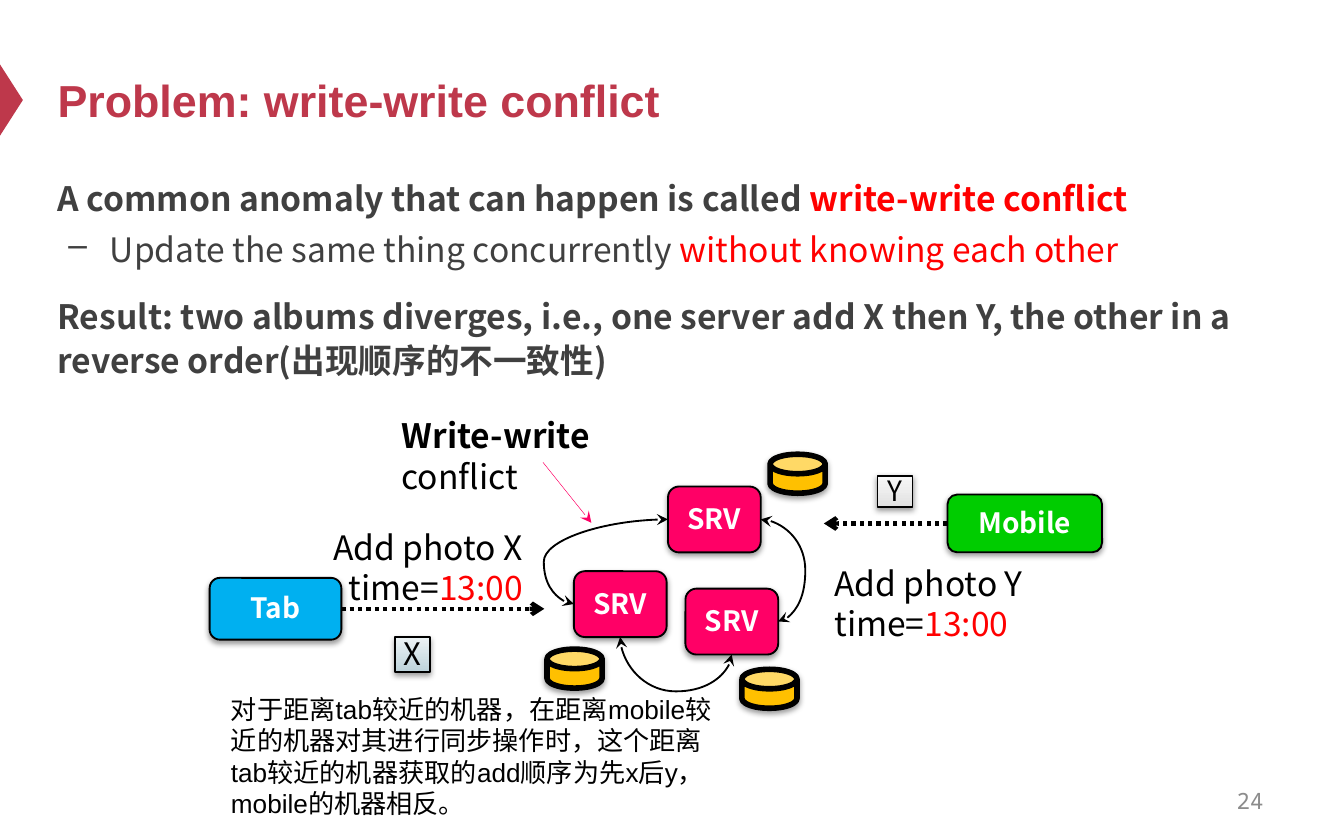
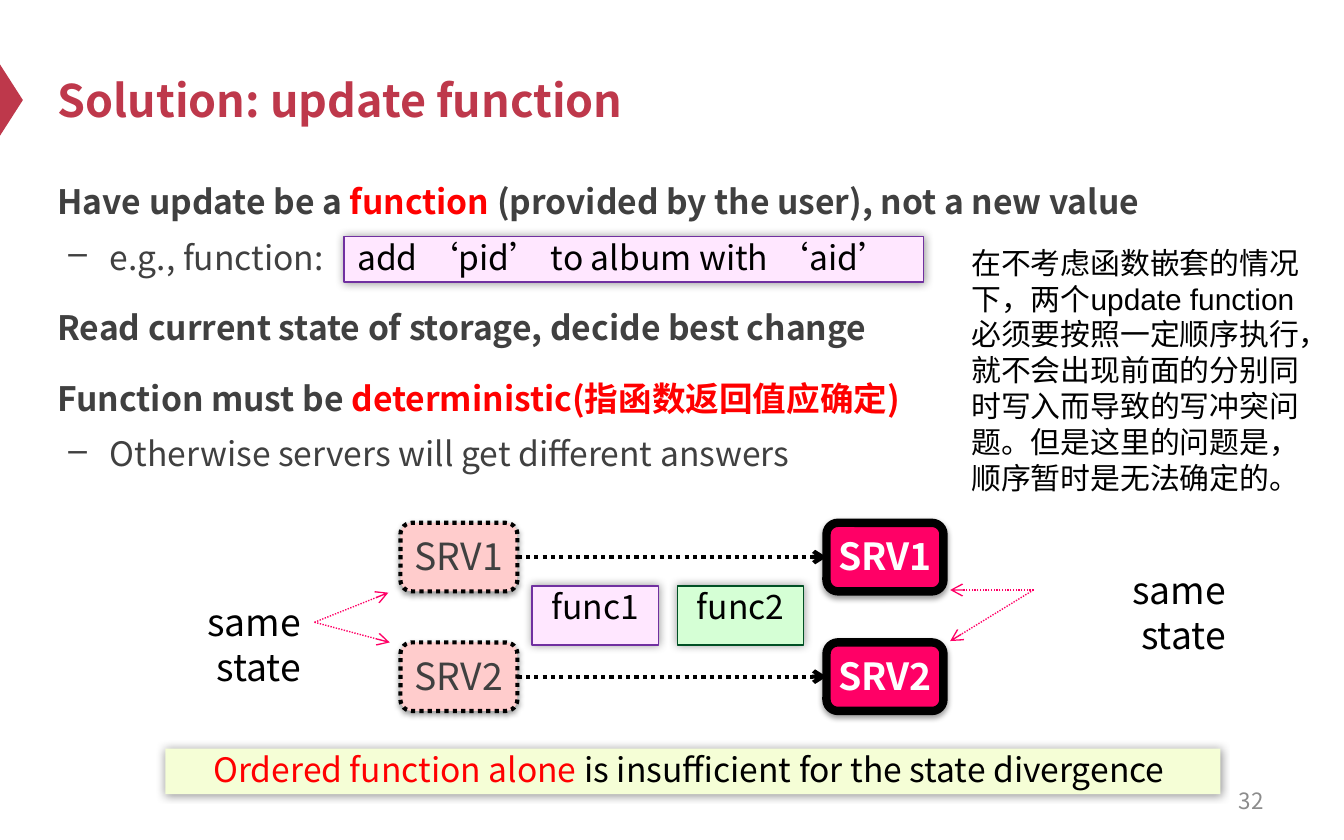
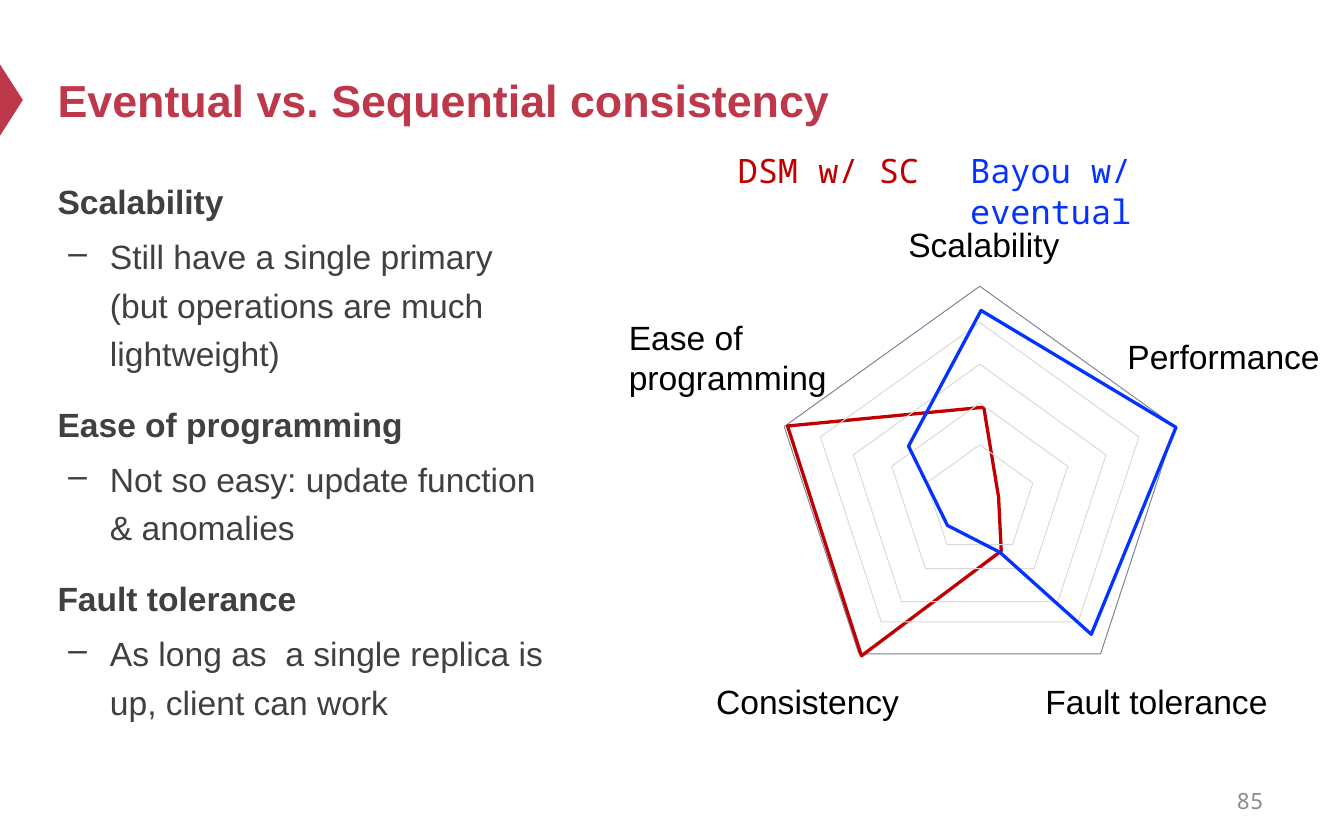
from dataclasses import dataclass
from typing import NamedTuple, Optional

from lxml import etree
from pptx import Presentation
from pptx import util as u
from pptx.dml.color import RGBColor
from pptx.enum import dml, shapes, text
from pptx.oxml.ns import qn

# The slide is a grid of square cells, 100 columns by 62.5 rows.
COLUMNS, ROWS = 100, 62.5
CELL = u.Inches(10) // COLUMNS
LINE_HEIGHT = 1.2
SANS, ARIAL, MONO = "Noto Sans CJK SC", "Arial", "Noto Sans Mono"

COLORS = {
    "theme": "BE384B", "body": "404040", "number": "8C8C8C",
    "black": "000000", "white": "FFFFFF", "red": "FF0000",
    "pink": "FF0066", "pale pink": "FFCCCC", "gold": "FFC000",
    "sky": "00B0F0", "green": "00CC00", "lilac": "FFE7FF",
    "purple": "7030A0", "mint": "D5FFD5", "forest": "005024",
    "cream": "F5FED6", "slate": "778495", "grey": "D9D9D9",
    "crimson": "C00000", "blue": "0432FF",
    "blue dark": "BDD3DB", "blue light": "EDF3F5",
    "grey dark": "E2E2E2", "grey light": "F7F7F7",
}
SHAPE = shapes.MSO_SHAPE
ALIGN = text.PP_ALIGN
TOP, LEFT, BOTTOM, RIGHT = range(4)


class Box(NamedTuple):
    left: float
    top: float
    width: float
    height: float


class Point(NamedTuple):
    x: float
    y: float


class Run(NamedTuple):
    text: str
    color: Optional[str] = None
    bold: Optional[bool] = None


class Shadow(NamedTuple):
    opacity: int
    blur: float
    distance: float
    angle: int


class Stroke(NamedTuple):
    color: str
    width: float
    dotted: bool = False


class BodyLine(NamedTuple):
    level: int
    runs: list


DROP = Shadow(38, 3.1, 1.6, 90)
GLOW = Shadow(40, 5, 0, 0)
THIN = Stroke("black", 1)
DOTTED = Stroke("black", 2.25, True)


@dataclass
class Style:
    """Look of a preset shape; two fill colours make a vertical gradient."""
    kind: int
    fill: tuple = ()
    stroke: Optional[Stroke] = None
    shadow: Optional[Shadow] = None


SERVER = Style(SHAPE.ROUNDED_RECTANGLE, ("pink",), THIN, DROP)
DISK = Style(SHAPE.CAN, ("gold",), Stroke("black", 3), DROP)
OLD_STATE = Style(SHAPE.ROUNDED_RECTANGLE, ("pale pink",), DOTTED, DROP)
NEW_STATE = Style(SHAPE.ROUNDED_RECTANGLE, ("pink",), Stroke("black", 4.5), DROP)
FUNCTION = Style(SHAPE.RECTANGLE, ("lilac",), Stroke("purple", 0.75), GLOW)
FUNCTION_TWO = Style(SHAPE.RECTANGLE, ("mint",), Stroke("forest", 0.75), GLOW)
BANNER = Style(SHAPE.RECTANGLE, ("cream",), None, GLOW)


def cells(*values):
    return [u.Emu(round(value * CELL)) for value in values]


def rgb(name: str) -> RGBColor:
    return RGBColor.from_string(COLORS[name])


def set_bullet(paragraph):
    properties = paragraph._p.get_or_add_pPr()
    properties.set("marL", str(u.Inches(0.39)))
    properties.set("indent", str(u.Inches(-0.31)))
    etree.SubElement(properties, qn("a:buChar")).set("char", "–")


def add_run(paragraph, content, *, font, size, color, bold):
    run = paragraph.add_run()
    run.text = content
    run.font.name, run.font.size, run.font.bold = font, u.Pt(size), bold
    run.font.color.rgb = rgb(color)
    east_asian = etree.SubElement(run._r.get_or_add_rPr(), qn("a:ea"))
    east_asian.set("typeface", SANS)


def format_paragraph(paragraph, runs, *, font=SANS, size=18, color="black",
                     bold=False, align=ALIGN.LEFT, spacing=1.0, before=0):
    """Fill one paragraph; a newline inside a run becomes a line break."""
    paragraph.alignment = align
    paragraph.line_spacing = u.Pt(round(size * LINE_HEIGHT * spacing, 1))
    paragraph.space_before = u.Pt(before)
    for run in runs:
        for index, part in enumerate(run.text.split("\n")):
            if index:
                paragraph.add_line_break()
            add_run(paragraph, part, font=font, size=size,
                    color=run.color or color,
                    bold=bold if run.bold is None else run.bold)


def set_frame(shape, *, anchor=text.MSO_ANCHOR.TOP, insets=(1, 0.5, 1, 0.5), wrap=True):
    frame = shape.text_frame
    frame.word_wrap, frame.vertical_anchor = wrap, anchor
    (frame.margin_left, frame.margin_top,
     frame.margin_right, frame.margin_bottom) = cells(*insets)
    return frame


def write(shape, paragraphs, *, anchor=text.MSO_ANCHOR.TOP, insets=(1, 0.5, 1, 0.5),
          wrap=True, **formats):
    """Write a string, or a list of paragraphs that are lists of runs."""
    if isinstance(paragraphs, str):
        paragraphs = [[Run(paragraphs)]]
    frame = set_frame(shape, anchor=anchor, insets=insets, wrap=wrap)
    for index, runs in enumerate(paragraphs):
        paragraph = frame.add_paragraph() if index else frame.paragraphs[0]
        format_paragraph(paragraph, runs, **formats)


def add_text(slide, box: Box, paragraphs, **formats):
    shape = slide.shapes.add_textbox(*cells(*box))
    write(shape, paragraphs, **formats)
    return shape


def set_stroke(line, stroke: Optional[Stroke]):
    if stroke is None:
        line.fill.background()
        return
    line.color.rgb = rgb(stroke.color)
    line.width = u.Pt(stroke.width)
    if stroke.dotted:
        line.dash_style = dml.MSO_LINE.ROUND_DOT


def set_shadow(shape, shadow: Shadow):
    effects = shape._element.spPr.find(qn("a:effectLst"))
    outer = etree.SubElement(effects, qn("a:outerShdw"), blurRad=str(u.Pt(shadow.blur)),
                             dist=str(u.Pt(shadow.distance)),
                             dir=str(shadow.angle * 60000), rotWithShape="0")
    color = etree.SubElement(outer, qn("a:srgbClr"), val=COLORS["black"])
    etree.SubElement(color, qn("a:alpha"), val=str(shadow.opacity * 1000))


def paint(shape, style: Style):
    if len(style.fill) == 2:
        shape.fill.gradient()
        shape.fill.gradient_angle = 90
        for stop, name in zip(shape.fill.gradient_stops, style.fill):
            stop.color.rgb = rgb(name)
    elif style.fill:
        shape.fill.solid()
        shape.fill.fore_color.rgb = rgb(style.fill[0])
    else:
        shape.fill.background()
    set_stroke(shape.line, style.stroke)
    shape.shadow.inherit = False
    if style.shadow:
        set_shadow(shape, style.shadow)


def add_preset(slide, box: Box, style: Style):
    shape = slide.shapes.add_shape(style.kind, *cells(*box))
    paint(shape, style)
    return shape


def add_node(slide, box: Box, style: Style, label: str, **formats):
    """Draw a shape with a centred label."""
    shape = add_preset(slide, box, style)
    settings = dict(anchor=text.MSO_ANCHOR.MIDDLE, insets=(0, 0.3, 0, 0.5), wrap=False,
                    align=ALIGN.CENTER, size=15, color="white", bold=True)
    write(shape, label, **{**settings, **formats})
    return shape


def add_disk(slide, left: float, top: float):
    add_preset(slide, Box(left, top, 4.1, 2.9), DISK).adjustments[0] = 0.5


def add_outline(slide, points, stroke: Stroke):
    start, *others = [cells(*point) for point in points]
    builder = slide.shapes.build_freeform(*start, scale=1.0)
    builder.add_line_segments(others, close=True)
    paint(builder.convert_to_shape(), Style(SHAPE.RECTANGLE, stroke=stroke))


def site(shape, side: int):
    """Middle of one side of a shape, in EMU."""
    return (shape.left + shape.width * (0, 0, 1, 2)[(TOP, BOTTOM).count(side) or 2 * (side == RIGHT)] // 2
            if side in (TOP, BOTTOM) else shape.left + shape.width * (side == RIGHT),
            shape.top + shape.height // 2 if side in (LEFT, RIGHT)
            else shape.top + shape.height * (side == BOTTOM))


def add_link(slide, begin, end, stroke: Stroke, *, kind=shapes.MSO_CONNECTOR.STRAIGHT,
             head=None, tail="arrow"):
    """Draw a connector; each end is a Point or a (shape, side) pair."""
    connector = slide.shapes.add_connector(kind, 0, 0, 0, 0)
    if isinstance(begin, Point):
        connector.begin_x, connector.begin_y = cells(*begin)
    if isinstance(end, Point):
        connector.end_x, connector.end_y = cells(*end)
    if not isinstance(begin, Point):
        connector.begin_connect(*begin)
    if not isinstance(end, Point):
        connector.end_connect(*end)
    set_stroke(connector.line, stroke)
    line = connector.line._get_or_add_ln()
    for tag, arrow in (("a:headEnd", head), ("a:tailEnd", tail)):
        if arrow:
            etree.SubElement(line, qn(tag), type=arrow)
    etree.SubElement(connector._element.spPr, qn("a:effectLst"))
    return connector


def add_curve(slide, begin, end, bend: float, *, upright=False):
    """Draw a double-headed curve; an upright one leaves and arrives vertically."""
    connector = add_link(slide, begin, end, THIN, kind=shapes.MSO_CONNECTOR.CURVE,
                         head="stealth", tail="stealth")
    properties = connector._element.spPr
    guides = properties.find(qn("a:prstGeom")).get_or_add_avLst()
    etree.SubElement(guides, qn("a:gd"), name="adj1", fmla=f"val {round(bend * 100000)}")
    if upright:
        width, height = connector.width, connector.height
        connector.left += (width - height) // 2
        connector.top += (height - width) // 2
        connector.width, connector.height = height, width
        frame = properties.find(qn("a:xfrm"))
        frame.attrib.pop("flipV", None)
        frame.set("rot", str(90 * 60000))
        frame.set("flipH", "1")


def start_slide(presentation, title: str, number: str, *, title_font=ARIAL, number_font=MONO):
    """Add a slide with the marker, title and page number that all slides share."""
    slide = presentation.slides.add_slide(presentation.slide_layouts[6])
    marker = add_preset(slide, Box(-1.8, 6.6, 5.3, 1.7),
                        Style(SHAPE.ISOSCELES_TRIANGLE, ("theme",)))
    marker.rotation = 90
    add_text(slide, Box(3.3, 2.5, 90, 9.8), title, anchor=text.MSO_ANCHOR.MIDDLE,
             font=title_font, size=24, color="theme", bold=True)
    add_text(slide, Box(71.7, 57.9, 23.3, 3.3), number, anchor=text.MSO_ANCHOR.MIDDLE,
             font=number_font, size=12, color="number", align=ALIGN.RIGHT)
    return slide


def add_body(slide, width: float, height: float, lines, *, spacing=1.2, font=SANS):
    shape = slide.shapes.add_textbox(*cells(3.3, 12.4, width, height))
    frame = set_frame(shape)
    for index, line in enumerate(lines):
        paragraph = frame.add_paragraph() if index else frame.paragraphs[0]
        before = (12, 3.6)[line.level] if index else 0
        if line.level:
            paragraph.level = line.level
            set_bullet(paragraph)
        format_paragraph(paragraph, line.runs, font=font, color="body",
                         bold=not line.level, spacing=spacing, before=before)


def build_conflict(presentation):
    slide = start_slide(presentation, "Problem: write-write conflict", "24")
    add_body(slide, 90, 16.9, [
        BodyLine(0, [Run("A common anomaly that can happen is called "),
                     Run("write-write conflict", "red")]),
        BodyLine(1, [Run("Update the same thing concurrently "),
                     Run("without knowing each other", "red")]),
        BodyLine(0, [Run("Result: two albums diverges, i.e., one server add X then Y, "
                         "the other in a reverse order(出现顺序的不一致性)")]),
    ], spacing=1.1)
    for name, box, align in (("Y", Box(61.1, 41.4, 16.2, 7.1), ALIGN.LEFT),
                             ("X", Box(23.6, 38.7, 16.3, 7.1), ALIGN.RIGHT)):
        add_text(slide, box, [[Run(f"Add photo {name}\ntime="), Run("13:00", "red")]],
                 align=align)
    for name, box, tint, size in (("X", Box(29.4, 47.4, 2.6, 2.6), "blue", 16.6),
                                  ("Y", Box(65.3, 35.4, 2.6, 2.3), "grey", 15)):
        style = Style(SHAPE.RECTANGLE, (f"{tint} dark", f"{tint} light"), THIN, DROP)
        add_node(slide, box, style, name, size=size, color="black", bold=False,
                 spacing=0.8, insets=(0.3, 0.3, 0.3, 0))

    top, left, right = [add_node(slide, Box(x, y, 6.9, 4.9), SERVER, "SRV")
                        for x, y in ((49.7, 36.2), (42.7, 42.5), (51, 43.8))]
    add_curve(slide, (left, LEFT), (top, LEFT), -0.32)
    add_curve(slide, (top, RIGHT), (right, RIGHT), 2.56)
    add_curve(slide, (right, BOTTOM), (left, BOTTOM), -2.11, upright=True)
    for x, y in ((57.3, 33.8), (40.7, 48.3), (55.2, 49.8)):
        add_disk(slide, x, y)

    for label, box, color, side, target in (
            ("Tab", Box(15.6, 43, 9.8, 4.6), "sky", RIGHT, Point(40.5, 45.3)),
            ("Mobile", Box(70.5, 36.8, 11.5, 4.3), "green", LEFT, Point(61.3, 38.95))):
        style = Style(SHAPE.ROUNDED_RECTANGLE, (color,), THIN, DROP)
        client = add_node(slide, box, style, label)
        add_link(slide, (client, side), target, DOTTED)
    add_text(slide, Box(28.9, 30.4, 23.1, 4),
             [[Run("Write-write", bold=True), Run(" conflict")]])
    add_link(slide, Point(40.4, 34.4), Point(44, 38.9), Stroke("pink", 0.25), tail="stealth")
    add_text(slide, Box(16.2, 51.1, 39.3, 10.4),
             "对于距离tab较近的机器，在距离mobile较近的机器对其进行同步操作时，"
             "这个距离tab较近的机器获取的add顺序为先x后y，mobile的机器相反。",
             font=ARIAL, size=14)


def build_solution(presentation):
    slide = start_slide(presentation, "Solution: update function", "32",
                        title_font=SANS, number_font=SANS)
    add_body(slide, 90, 41.2, [
        BodyLine(0, [Run("Have update be a "), Run("function", "red"),
                     Run(" (provided by the user), not a new value")]),
        BodyLine(1, [Run("e.g., function:")]),
        BodyLine(0, [Run("Read current state of storage, decide best change")]),
        BodyLine(0, [Run("Function must be "),
                     Run("deterministic(指函数返回值应确定)", "red")]),
        BodyLine(1, [Run("Otherwise servers will get different answers")]),
    ])
    example = add_preset(slide, Box(25.6, 17.6, 43.1, 3.4), FUNCTION)
    write(example, "add ‘pid’ to album with ‘aid’", insets=(1, 0, 1, 0.4))
    for label, y in (("SRV1", 38.9), ("SRV2", 47.8)):
        old = add_node(slide, Box(29.8, y, 8.7, 5.1), OLD_STATE, label, size=20,
                       color="body", bold=False)
        new = add_node(slide, Box(61.5, y, 8.7, 5.1), NEW_STATE, label, size=20)
        add_link(slide, (old, RIGHT), (new, LEFT), DOTTED)
    for x, y, side, targets in (
            (8.1, 44.1, RIGHT, (Point(28.9, 44.1), Point(29, 47.8))),
            (76.9, 41.7, LEFT, (Point(70.7, 43.9), Point(70.7, 47.7)))):
        same_state = add_text(slide, Box(x, y, 15.3, 4.4), "same state", size=20,
                              align=ALIGN.RIGHT)
        for target in targets:
            add_link(slide, (same_state, side), target, Stroke("pink", 0.75, True))
    for label, x, style in (("func1", 39.6, FUNCTION), ("func2", 50.4, FUNCTION_TWO)):
        add_node(slide, Box(x, 43.6, 9.4, 4.4), style, label, size=18, color="black",
                 bold=False, anchor=text.MSO_ANCHOR.TOP, insets=(0.4, 0, 0.4, 0.4))
    banner = add_preset(slide, Box(12.3, 55.7, 78.5, 3.4), BANNER)
    write(banner, [[Run("Ordered function alone", "red"),
                    Run(" is insufficient for the state divergence ")]],
          align=ALIGN.CENTER, insets=(0.8, 0, 0.8, 0.4))
    add_text(slide, Box(71.3, 17.7, 26.8, 19.8), [
        [Run("在不考虑函数嵌套的情况下，两个update function")],
        [Run("必须要按照一定顺序执行，就不会出现前面的分别同时写入而导致的写冲突问题。"
             "但是这里的问题是，顺序暂时是无法确定的。")],
    ], font=ARIAL, size=16)


def add_ring(slide, top: float, width: float, color: str):
    add_preset(slide, Box(72.9 - width / 2, top, width, width * 0.94),
               Style(SHAPE.REGULAR_PENTAGON, stroke=Stroke(color, 0.5)))


def build_comparison(presentation):
    slide = start_slide(presentation, "Eventual vs. Sequential consistency", "85")
    topics = (
        ("Scalability", "Still have a single primary (but operations are much lightweight)"),
        ("Ease of programming", "Not so easy: update function & anomalies"),
        ("Fault tolerance", "As long as  a single replica is up, client can work"),
    )
    add_body(slide, 38.6, 47.6, [BodyLine(level, [Run(content)]) for topic in topics
                                 for level, content in enumerate(topic)], font=ARIAL)
    for label, box in (("Scalability", Box(66.6, 16.2, 13.4, 4)),
                       ("Consistency", Box(52.3, 50.2, 15.8, 4)),
                       ("Fault tolerance", Box(76.8, 50.2, 19.4, 4)),
                       ("Performance", Box(82.9, 24.5, 16.5, 4))):
        add_text(slide, box, label, font=ARIAL, wrap=False)
    add_text(slide, Box(45.8, 23.1, 16.9, 7.1), [[Run("Ease of")], [Run("programming")]],
             font=ARIAL)
    add_ring(slide, 21.3, 29.1, "slate")
    add_outline(slide, [(58.6, 31.7), (73.2, 30.3), (74.3, 37), (74.5, 41), (64.1, 48.8)],
                Stroke("crimson", 1.75))
    for top, width in ((24, 23.7), (27.1, 18.8), (30, 13.1), (33.1, 7.9)):
        add_ring(slide, top, width, "grey")
    add_text(slide, Box(53.9, 10.7, 15.9, 4), "DSM w/ SC", font=MONO, color="crimson")
    add_text(slide, Box(71.2, 10.7, 25.6, 4), "Bayou w/ eventual", font=MONO, color="blue")
    add_outline(slide, [(67.6, 33.2), (73, 23.1), (87.5, 31.8), (81.2, 47.2),
                        (74.4, 41.1), (70.5, 39.1)], Stroke("blue", 1.75))


def main():
    presentation = Presentation()
    presentation.slide_width, presentation.slide_height = cells(COLUMNS, ROWS)
    for build in (build_conflict, build_solution, build_comparison):
        build(presentation)
    presentation.save("out.pptx")


if __name__ == "__main__":
    main()
